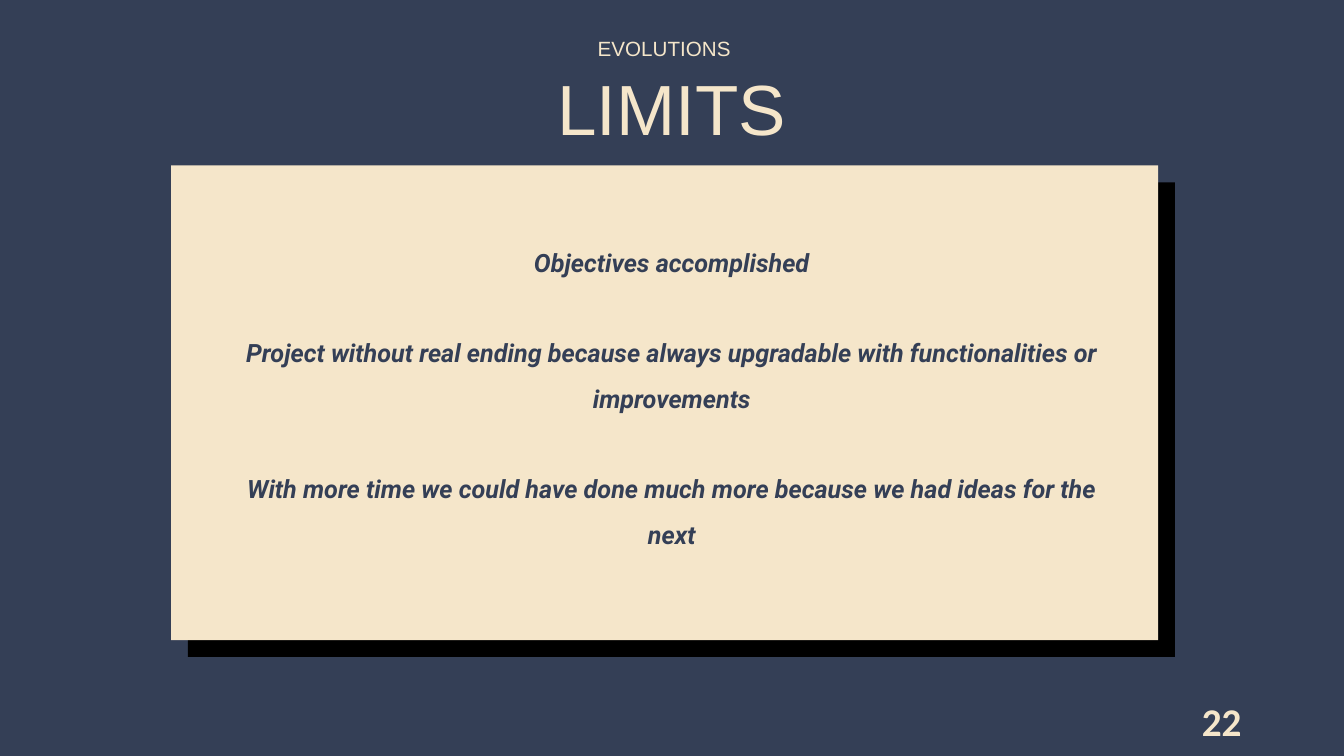
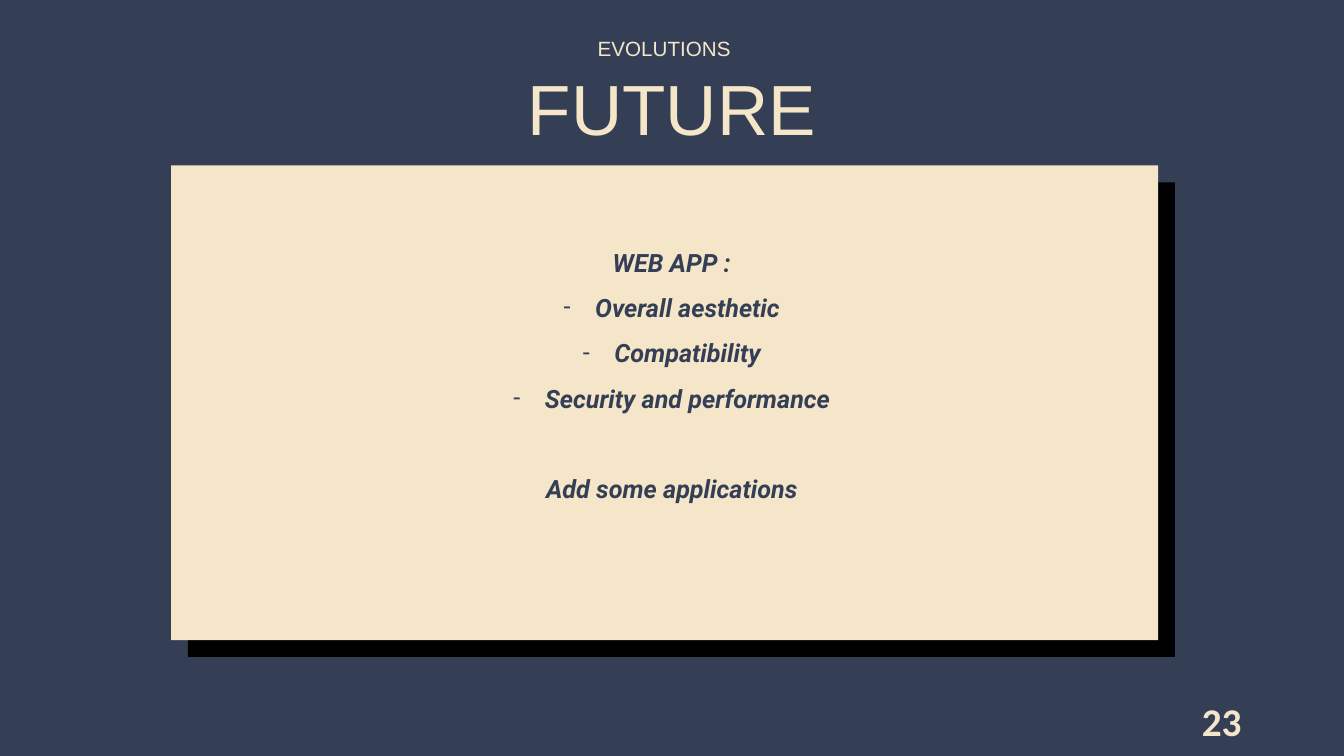
import pptx
import pptx.dml.color
import pptx.enum.shapes
import pptx.enum.text
import pptx.oxml.ns
import pptx.util
from lxml import etree

Pt = pptx.util.Pt
ALIGN = pptx.enum.text.PP_ALIGN
ANCHOR = pptx.enum.text.MSO_ANCHOR

NAVY, CREAM, BLACK = "343F56", "F5E6CA", "000000"
LINE = 32.4  # height of one body line
INDENT = 22.5

# Each body line: text, bulleted, gap above
SLIDES = [
    ("LIMITS", "22", [
        ("Objectives accomplished", False, False),
        ("Project without real ending because always upgradable with "
         "functionalities or improvements", False, True),
        ("With more time we could have done much more because we had ideas "
         "for the next", False, True),
    ]),
    ("FUTURE", "23", [
        ("WEB APP :", False, False),
        ("Overall aesthetic", True, False),
        ("Compatibility", True, False),
        ("Security and performance", True, False),
        ("Add some applications", False, True),
    ]),
]


def paint(color, value):
    color.rgb = pptx.dml.color.RGBColor.from_string(value)


def place(shape, left, top, width, height):
    shape.left, shape.top = Pt(left), Pt(top)
    shape.width, shape.height = Pt(width), Pt(height)


def style(para, face, size, color, align=ALIGN.CENTER, bold=False, italic=False):
    para.alignment = align
    for run in para.runs:
        font = run.font
        font.name, font.size = face, Pt(size)
        font.bold, font.italic = bold, italic
        paint(font.color, color)


def set_frame(shape, anchor=ANCHOR.TOP, inset=None):
    frame = shape.text_frame
    frame.word_wrap = True
    frame.auto_size = pptx.enum.text.MSO_AUTO_SIZE.NONE
    frame.vertical_anchor = anchor
    if inset is not None:
        frame.margin_left = frame.margin_right = Pt(inset)
        frame.margin_top = frame.margin_bottom = Pt(inset)
    return frame


def add_box(slide, left, top, width, height):
    return slide.shapes.add_textbox(Pt(left), Pt(top), Pt(width), Pt(height))


def add_head(shape, text, size, pitch):
    para = set_frame(shape, inset=0).paragraphs[0]
    para.text = text
    para.line_spacing = Pt(pitch)
    style(para, "Arial", size, CREAM)


def add_panel(slide, left, top, color):
    panel = slide.shapes.add_shape(
        pptx.enum.shapes.MSO_SHAPE.RECTANGLE, Pt(left), Pt(top), Pt(705), Pt(339))
    panel.shadow.inherit = False
    panel.fill.solid()
    paint(panel.fill.fore_color, color)
    panel.line.fill.background()


def add_dash(para):
    props = para._p.get_or_add_pPr()
    props.set("marL", str(Pt(INDENT)))
    props.set("indent", str(-Pt(INDENT)))
    qn = pptx.oxml.ns.qn
    etree.SubElement(props, qn("a:buFont")).set("typeface", "Roboto")
    etree.SubElement(props, qn("a:buChar")).set("char", "-")


def add_body(slide, lines):
    frame = set_frame(add_box(slide, 156.2, 162, 647.3, 232.6))
    for i, (text, dash, gap) in enumerate(lines):
        para = frame.add_paragraph() if i else frame.paragraphs[0]
        para.text = text
        para.line_spacing = 1.5
        if gap:
            para.space_before = Pt(LINE)
        if dash:
            add_dash(para)
        style(para, "Roboto", 18, NAVY, bold=True, italic=True)


def add_number(slide, number):
    frame = set_frame(add_box(slide, 678, 500.4, 216, 28.8), ANCHOR.MIDDLE)
    frame.text = number
    style(frame.paragraphs[0], "Calibri", 28, CREAM, ALIGN.RIGHT, bold=True)


def add_slide(deck, title, number, lines):
    slide = deck.slides.add_slide(deck.slide_layouts[5])
    place(slide.shapes.title, 145.2, 36, 669.6, 60.5)
    add_head(slide.shapes.title, title, 50.7, 70.9)
    add_head(add_box(slide, 361.4, 23, 226, 18), "EVOLUTIONS", 14.7, 20.5)
    add_panel(slide, 134.2, 130.2, BLACK)
    add_panel(slide, 122.2, 118.2, CREAM)
    add_body(slide, lines)
    add_number(slide, number)


def main():
    deck = pptx.Presentation()
    deck.slide_width, deck.slide_height = Pt(960), Pt(540)
    back = deck.slide_master.background.fill
    back.solid()
    paint(back.fore_color, NAVY)
    for title, number, lines in SLIDES:
        add_slide(deck, title, number, lines)
    deck.save("out.pptx")


if __name__ == "__main__":
    main()
